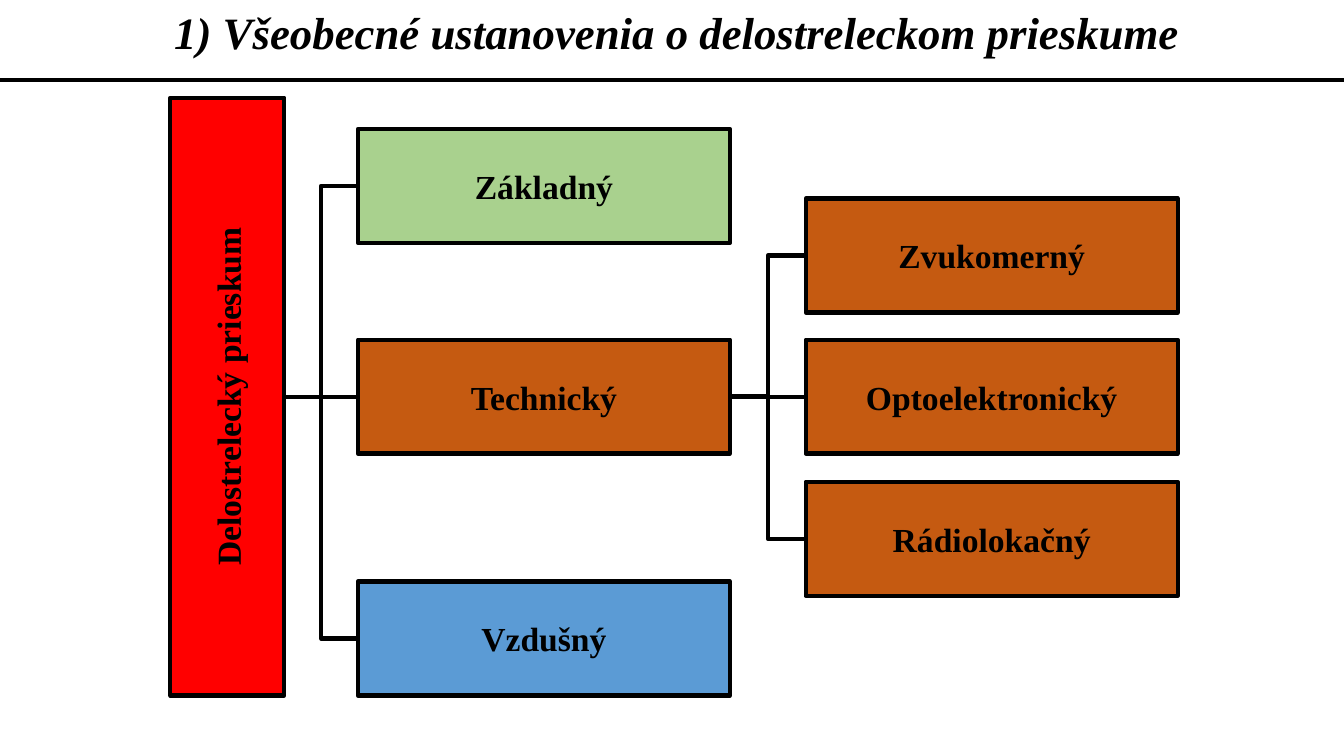
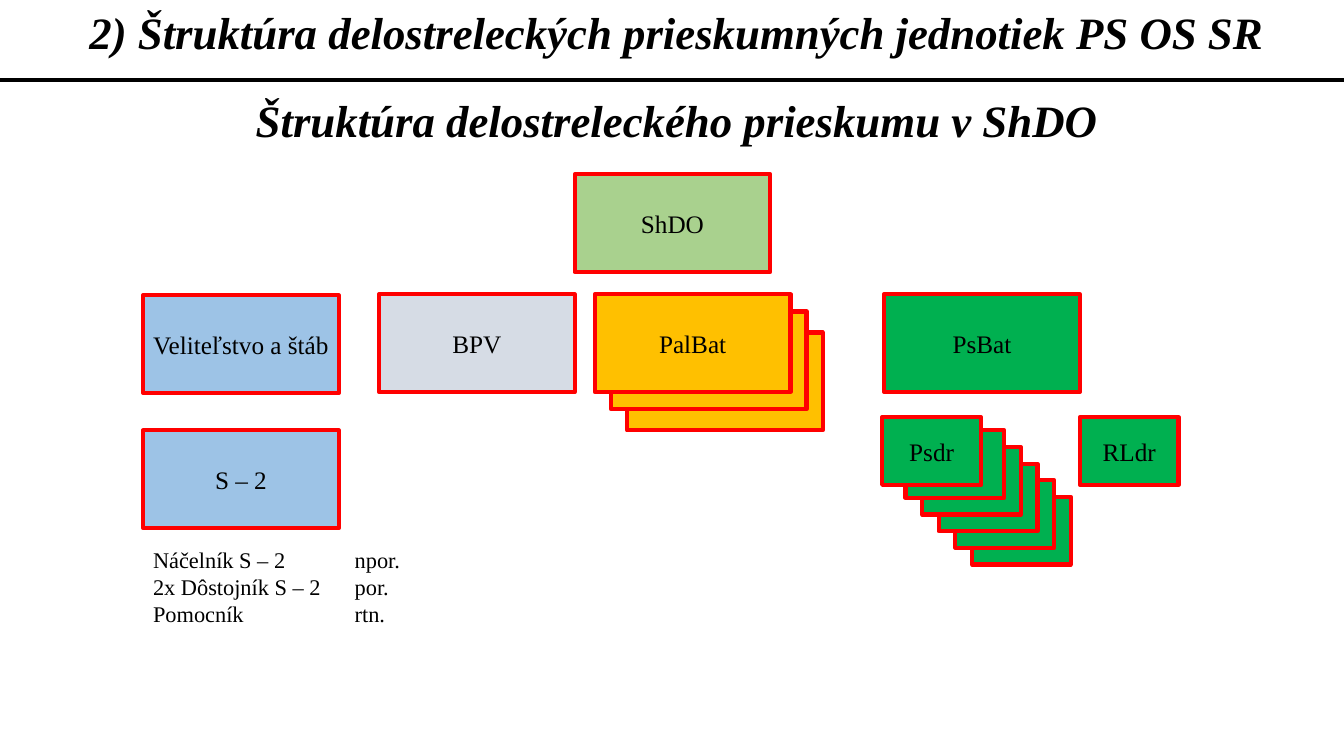
from pptx import Presentation
from pptx.dml.color import RGBColor as Rgb
from pptx.enum.shapes import MSO_CONNECTOR as Link, MSO_SHAPE as Form
from pptx.enum.text import MSO_ANCHOR as Anchor, MSO_AUTO_SIZE as Auto, PP_ALIGN as Align
from pptx.oxml.ns import qn
from pptx.util import Inches, Pt
from lxml.etree import SubElement as Sub

HUE = {
    "black": "000000", "red": "FF0000", "lime": "A9D18E", "rust": "C55A11",
    "azure": "5B9BD5", "sky": "9DC3E6", "grey": "D6DCE5", "gold": "FFC000",
    "green": "00B050",
}
FACE = "Times New Roman"
HEAD = {"name": FACE, "size": Pt(32), "bold": True, "italic": True}
NODE = {"name": FACE, "size": Pt(24), "bold": True}
UNIT = {"name": FACE, "size": Pt(18)}
NOTE = {"name": FACE, "size": Pt(16)}
WIDE, RULE = 13.33, 0.79
BIG, SMALL = (1.94, 0.97), (0.98, 0.67)


def tint(key):
    return Rgb.from_string(HUE[key])


def apply(item, form):
    for key, value in form.items():
        setattr(item, key, value)


def write(frame, lines, form, align=Align.CENTER):
    for num, text in enumerate(lines):
        para = frame.paragraphs[0] if num == 0 else frame.add_paragraph()
        para.alignment = align
        run = para.add_run()
        run.text = text
        apply(run.font, form)
        run.font.color.rgb = tint("black")


def style(frame, anchor):
    apply(frame, {"word_wrap": True, "auto_size": Auto.NONE, "vertical_anchor": anchor})


def head(shape, top, text):
    apply(shape, {"left": 0, "top": Inches(top), "width": Inches(WIDE), "height": Inches(0.64)})
    frame = shape.text_frame
    style(frame, Anchor.TOP)
    write(frame, [text], HEAD)
    props = frame.paragraphs[0]._p.get_or_add_pPr()
    props.set("marL", str(Inches(0.1)))
    props.set("indent", "0")


def box(slide, at, size, fill, edge, text="", form=UNIT):
    shape = slide.shapes.add_shape(Form.RECTANGLE, *map(Inches, (*at, *size)))
    shape.shadow.inherit = False
    shape.fill.solid()
    shape.fill.fore_color.rgb = tint(fill)
    shape.line.color.rgb = tint(edge)
    shape.line.width = Pt(3)
    if text:
        frame = shape.text_frame
        style(frame, Anchor.MIDDLE)
        apply(frame, {f"margin_{side}": Inches(0.02) for side in ("left", "right", "top", "bottom")})
        write(frame, [text], form)
    return shape


def wire(slide, kind, start=(0, 0), end=(0, 0)):
    line = slide.shapes.add_connector(kind, *map(Inches, (*start, *end)))
    line.line.color.rgb = tint("black")
    line.line.width = Pt(3)
    Sub(line._element.spPr, qn("a:effectLst"))
    return line


def join(slide, root, kids):
    mid = root.top + root.height // 2
    for kid in kids:
        flat = abs(kid.top + kid.height // 2 - mid) < Inches(0.01)
        line = wire(slide, Link.STRAIGHT if flat else Link.ELBOW)
        line.begin_connect(root, 3)
        line.end_connect(kid, 1)


def stack(slide, spots, size, fill, text):
    for spot in reversed(spots[1:]):
        box(slide, spot, size, fill, "red")
    box(slide, spots[0], size, fill, "red", text)


def page(deck, title):
    slide = deck.slides.add_slide(deck.slide_layouts[5])
    head(slide.shapes.title, 0, title)
    return slide


def share(deck, slide):
    line = wire(slide, Link.STRAIGHT, (0, RULE), (WIDE, RULE))
    deck.slide_layouts[5].shapes.element.append(line._element)


def survey(slide):
    def node(left, top, fill, text):
        return box(slide, (left, top), (3.69, 1.13), fill, "black", text, NODE)

    root = box(slide, (1.69, 0.97), (1.13, 5.93), "red", "black", "Delostrelecký prieskum", NODE)
    root.text_frame._txBody.bodyPr.set("vert", "vert270")
    kinds = [node(3.55, *row) for row in (
        (1.28, "lime", "Základný"), (3.37, "rust", "Technický"), (5.77, "azure", "Vzdušný"))]
    means = [node(7.99, top, "rust", text) for top, text in (
        (1.97, "Zvukomerný"), (3.37, "Optoelektronický"), (4.78, "Rádiolokačný"))]
    join(slide, root, kinds)
    join(slide, kinds[1], means)


def staff(slide):
    area = slide.shapes.add_textbox(*map(Inches, (1.42, 5.37, 3.16, 0.91)))
    frame = area.text_frame
    style(frame, Anchor.TOP)
    write(frame, ["Náčelník S – 2\tnpor.", "2x Dôstojník S – 2\tpor.", "Pomocník\trtn."], NOTE, Align.LEFT)
    for para in frame.paragraphs:
        tabs = Sub(para._p.get_or_add_pPr(), qn("a:tabLst"))
        Sub(tabs, qn("a:tab"), pos=str(Inches(2)), algn="l")


def units(slide):
    head(slide.shapes.add_textbox(0, 0, 0, 0), 0.87, "Štruktúra delostreleckého prieskumu v ShDO")
    for at, size, fill, text in (
        ((5.7, 1.73), BIG, "lime", "ShDO"),
        ((1.42, 2.93), BIG, "sky", "Veliteľstvo a štáb"),
        ((3.76, 2.92), BIG, "grey", "BPV"),
        ((8.77, 2.92), BIG, "green", "PsBat"),
        ((1.42, 4.27), BIG, "sky", "S – 2"),
        ((10.71, 4.14), SMALL, "green", "RLdr"),
    ):
        box(slide, at, size, fill, "red", text)
    stack(slide, [(5.9, 2.92), (6.06, 3.09), (6.22, 3.3)], BIG, "gold", "PalBat")
    rear = [(8.98 + 0.66 * num / 4, 4.27 + 0.66 * num / 4) for num in range(5)]
    stack(slide, [(8.75, 4.14), *rear], SMALL, "green", "Psdr")
    staff(slide)


def main():
    deck = Presentation()
    apply(deck, {"slide_width": Inches(WIDE), "slide_height": Inches(7.5)})
    first = page(deck, "1) Všeobecné ustanovenia o delostreleckom prieskume")
    share(deck, first)
    survey(first)
    units(page(deck, "2) Štruktúra delostreleckých prieskumných jednotiek PS OS SR"))
    deck.save("out.pptx")


if __name__ == "__main__":
    main()
